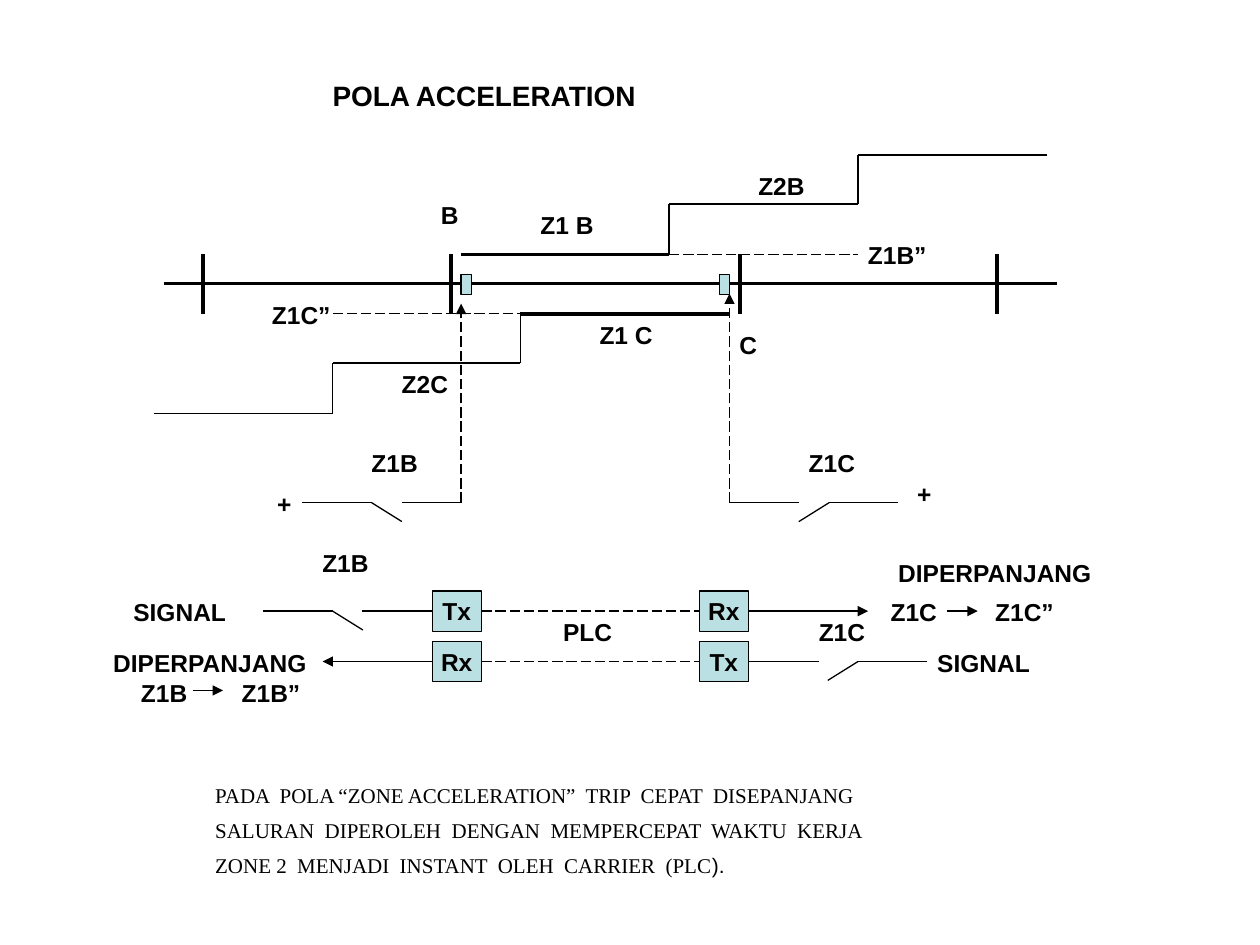
from dataclasses import dataclass

from lxml.etree import SubElement
from pptx import Presentation
from pptx.dml.color import RGBColor
from pptx.enum.dml import MSO_LINE
from pptx.enum.shapes import MSO_CONNECTOR, MSO_SHAPE
from pptx.enum.text import MSO_ANCHOR, MSO_AUTO_SIZE, PP_ALIGN
from pptx.oxml.ns import qn
from pptx.util import Inches, Pt


@dataclass(frozen=True)
class Theme:
    ink: RGBColor = RGBColor(0x00, 0x00, 0x00)
    device: RGBColor = RGBColor(0xBB, 0xE0, 0xE3)
    sans: str = "Arial"
    serif: str = "Times New Roman"
    title_size: Pt = Pt(16)
    label_size: Pt = Pt(14)
    body_size: Pt = Pt(12)
    thin: Pt = Pt(0.75)
    thick: Pt = Pt(2.25)


theme = Theme()
presentation = Presentation()
presentation.slide_width, presentation.slide_height = Inches(10), Inches(7.5)
slide = presentation.slides.add_slide(presentation.slide_layouts[5])
shapes = slide.shapes


def style_text(paragraph, size=theme.label_size, name=theme.sans, bold=True):
    font = paragraph.font
    font.size, font.name, font.bold = size, name, bold
    font.color.rgb = theme.ink


def add_line(x1, y1, x2, y2, width=theme.thin, dashed=False, arrow=False):
    line = shapes.add_connector(MSO_CONNECTOR.STRAIGHT, Inches(x1), Inches(y1),
                                Inches(x2), Inches(y2))
    line.line.color.rgb, line.line.width = theme.ink, width
    if dashed:
        line.line.dash_style = MSO_LINE.LONG_DASH
    if arrow:
        SubElement(line.line._get_or_add_ln(), qn("a:tailEnd"), type="triangle")
    SubElement(line._element.spPr, qn("a:effectLst"))


# Title
title = shapes.title
title.left, title.top = Inches(2.54), Inches(0.57)
title.width, title.height = Inches(2.64), Inches(0.37)
title.text_frame.text = "POLA ACCELERATION"
title.text_frame.word_wrap = False
title.text_frame.auto_size = MSO_AUTO_SIZE.NONE
title.text_frame.vertical_anchor = MSO_ANCHOR.TOP
title.text_frame.paragraphs[0].alignment = PP_ALIGN.LEFT
style_text(title.text_frame.paragraphs[0], theme.title_size)

# Transmission line with its four busbars
add_line(1.3, 2.25, 8.39, 2.25, theme.thick)
for busbar_x in (1.61, 3.58, 5.87, 7.91):
    add_line(busbar_x, 2.02, busbar_x, 2.49, theme.thick)

# Zone steps seen from B (upwards) and from C (downwards)
zone_steps = [
    [(3.66, 2.02), (5.31, 2.02), (5.31, 1.62), (6.81, 1.62), (6.81, 1.23), (8.31, 1.23)],
    [(5.79, 2.49), (4.13, 2.49), (4.13, 2.88), (2.64, 2.88), (2.64, 3.28), (1.22, 3.28)],
]
for steps in zone_steps:
    for index, (start, end) in enumerate(zip(steps, steps[1:])):
        add_line(*start, *end, theme.thick if index == 0 else theme.thin)

# Extended zone 1 reaches and signal links
for x1, x2, y in [(5.31, 6.81, 2.02), (2.64, 4.13, 2.49),
                  (3.82, 5.55, 4.85), (3.82, 5.55, 5.25)]:
    add_line(x1, y, x2, y, dashed=True)

# Trip commands to the relays
add_line(3.66, 3.99, 3.66, 2.41, dashed=True, arrow=True)
add_line(5.79, 3.99, 5.79, 2.33, dashed=True, arrow=True)

# Open contacts: outer end, fixed contact, inner end, height, direction inwards
for outer, contact, inner, y, direction in [
    (2.4, 3.19, 3.66, 3.99, 1),
    (7.13, 6.34, 5.79, 3.99, -1),
    (2.09, 2.87, 3.43, 4.85, 1),
    (7.36, 6.5, 5.94, 5.25, -1),
]:
    hinge = outer + 0.55 * direction
    add_line(outer, y, hinge, y)
    add_line(hinge, y, hinge + 0.24 * direction, y + 0.15)
    add_line(contact, y, inner, y)

# Received signals and zone extension arrows
for x1, x2, y in [(5.94, 6.89, 4.85), (3.43, 2.56, 5.25),
                  (7.52, 7.76, 4.85), (1.53, 1.77, 5.48)]:
    add_line(x1, y, x2, y, arrow=True)

# Relays and carrier sets
for text, left, top, width, height in [
    ("", 3.66, 2.18, 0.08, 0.16),
    ("", 5.71, 2.18, 0.08, 0.16),
    ("Tx", 3.43, 4.69, 0.39, 0.32),
    ("Rx", 3.43, 5.09, 0.39, 0.32),
    ("Rx", 5.55, 4.69, 0.39, 0.32),
    ("Tx", 5.55, 5.09, 0.39, 0.32),
]:
    device = shapes.add_shape(MSO_SHAPE.RECTANGLE, Inches(left), Inches(top),
                              Inches(width), Inches(height))
    device.shadow.inherit = False
    device.fill.solid()
    device.fill.fore_color.rgb = theme.device
    device.line.color.rgb, device.line.width = theme.ink, theme.thin
    if text:
        frame = device.text_frame
        frame.text, frame.word_wrap = text, False
        frame.vertical_anchor = MSO_ANCHOR.MIDDLE
        frame.paragraphs[0].alignment = PP_ALIGN.CENTER
        style_text(frame.paragraphs[0])

# Labels: text, left, top, width
for text, left, top, width in [
    ("B", 3.4, 1.54, 0.34),
    ("C", 5.77, 2.57, 0.34),
    ("Z1 B", 4.19, 1.62, 0.62),
    ("Z1 C", 4.66, 2.49, 0.62),
    ("Z1B”", 6.79, 1.86, 0.7),
    ("Z1C”", 2.06, 2.33, 0.7),
    ("Z2B", 5.92, 1.31, 0.57),
    ("Z2C", 3.09, 2.88, 0.57),
    ("Z1B", 2.85, 3.51, 0.57),
    ("Z1C", 6.32, 3.51, 0.57),
    ("+", 2.1, 3.83, 0.31),
    ("+", 7.18, 3.75, 0.31),
    ("Z1B", 2.46, 4.3, 0.57),
    ("SIGNAL", 0.96, 4.69, 0.97),
    ("DIPERPANJANG", 0.8, 5.09, 1.75),
    ("Z1B", 1.02, 5.33, 0.57),
    ("Z1B”", 1.82, 5.33, 0.7),
    ("PLC", 4.37, 4.85, 0.59),
    ("DIPERPANJANG", 7.03, 4.38, 1.75),
    ("Z1C", 6.97, 4.69, 0.57),
    ("Z1C”", 7.8, 4.69, 0.7),
    ("Z1C", 6.4, 4.85, 0.57),
    ("SIGNAL", 7.34, 5.09, 0.97),
]:
    label = shapes.add_textbox(Inches(left), Inches(top), Inches(width), Inches(0.34))
    frame = label.text_frame
    frame.text, frame.word_wrap = text, False
    frame.auto_size = MSO_AUTO_SIZE.SHAPE_TO_FIT_TEXT
    style_text(frame.paragraphs[0])

# Explanation
explanation = shapes.add_textbox(Inches(1.61), Inches(6.08), Inches(5.44), Inches(0.94))
frame = explanation.text_frame
frame.word_wrap = False
frame.auto_size = MSO_AUTO_SIZE.SHAPE_TO_FIT_TEXT
frame.text = "\n".join([
    "PADA  POLA “ZONE ACCELERATION”  TRIP  CEPAT  DISEPANJANG",
    "SALURAN  DIPEROLEH  DENGAN  MEMPERCEPAT  WAKTU  KERJA",
    "ZONE 2  MENJADI  INSTANT  OLEH  CARRIER  (PLC",
])
for paragraph in frame.paragraphs:
    paragraph.line_spacing = 1.4
    style_text(paragraph, theme.body_size, theme.serif, bold=False)
ending = frame.paragraphs[-1].add_run()
ending.text, ending.font.name = ").", theme.sans

presentation.save("out.pptx")
